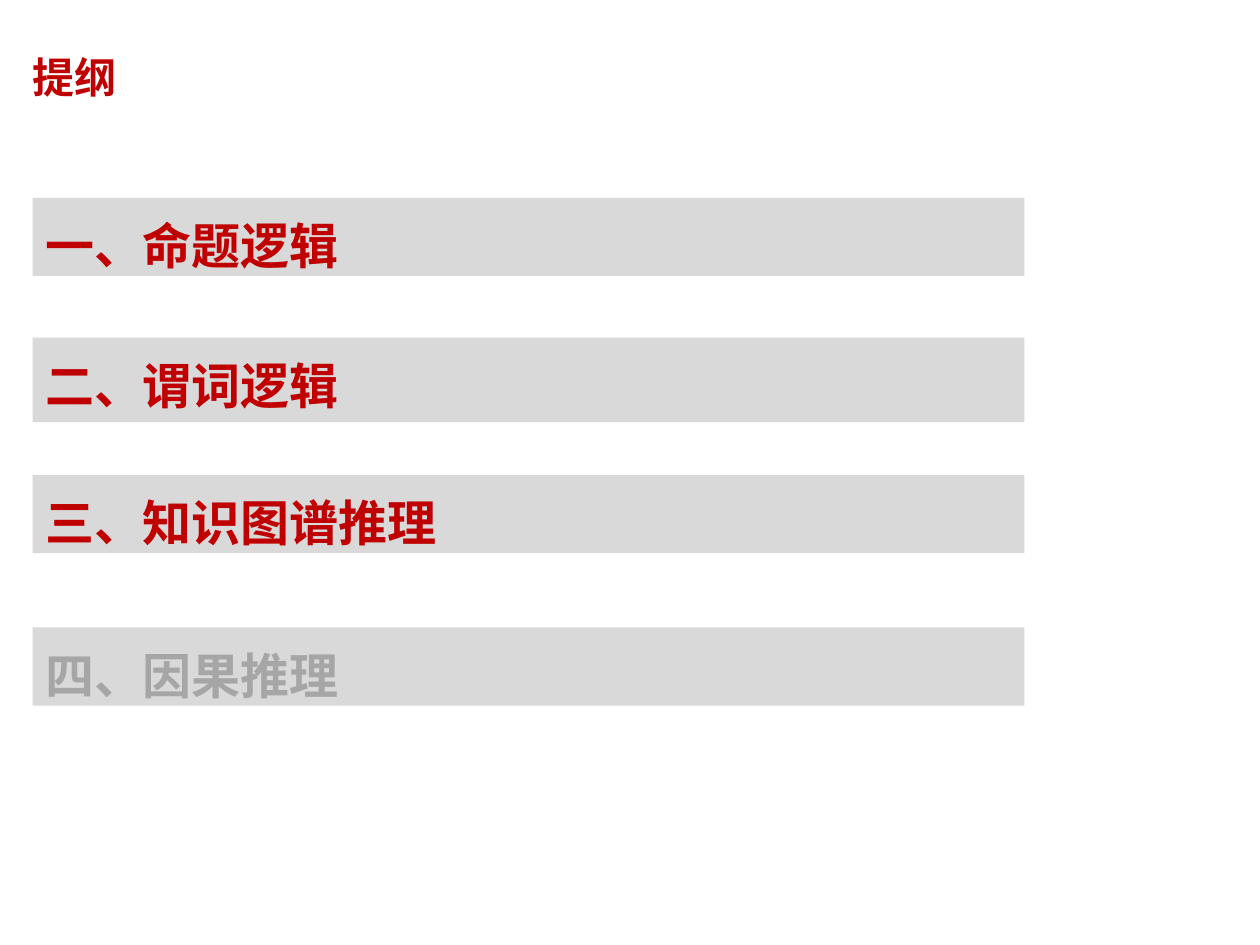
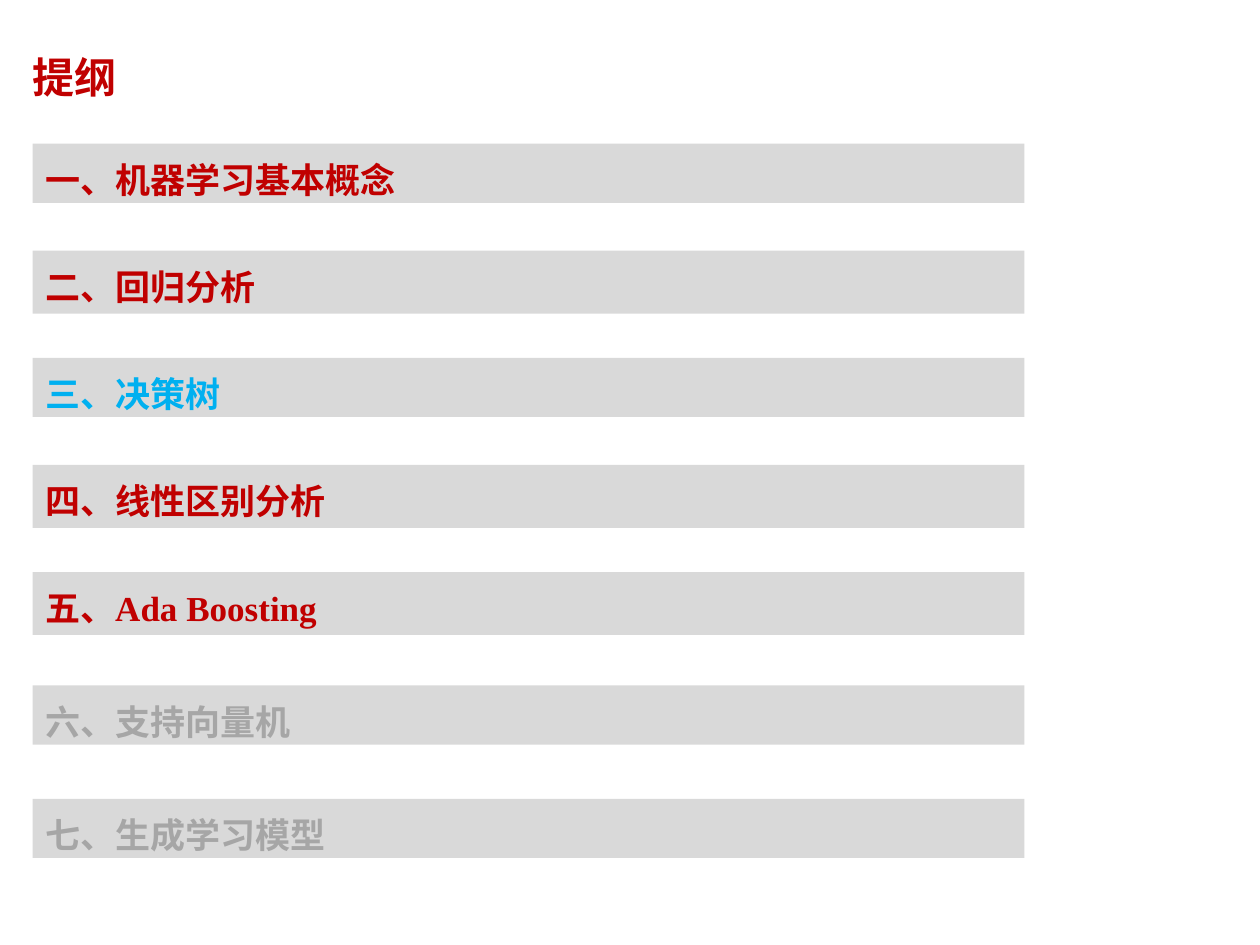
from dataclasses import dataclass

from pptx import Presentation
from pptx import util as u
from pptx.dml import color
from pptx.enum import shapes, text

PX = 9144
FONT = "Times New Roman"
RED, BLUE, GREY, BAND = "C00000", "00B0F0", "A6A6A6", "D9D9D9"
BAND_LEFT, BAND_WIDTH = 26, 787


@dataclass(frozen=True)
class Topic:
    label: str
    top: int
    height: int
    colour: str = RED


@dataclass(frozen=True)
class Outline:
    size: int
    topics: tuple[Topic, ...]


OUTLINES = (
    Outline(28, (
        Topic("一、命题逻辑", 157, 62),
        Topic("二、谓词逻辑", 268, 67),
        Topic("三、知识图谱推理", 377, 62),
        Topic("四、因果推理", 498, 62, GREY),
    )),
    Outline(20, (
        Topic("一、机器学习基本概念", 114, 47),
        Topic("二、回归分析", 199, 50),
        Topic("三、决策树", 284, 47, BLUE),
        Topic("四、线性区别分析", 369, 50),
        Topic("五、Ada Boosting", 454, 50),
        Topic("六、支持向量机", 544, 47, GREY),
        Topic("七、生成学习模型", 634, 47, GREY),
    )),
)


def px(length: int) -> u.Emu:
    return u.Emu(length * PX)


def rgb(value: str) -> color.RGBColor:
    return color.RGBColor.from_string(value)


def write(frame, words: str, size: int, colour: str):
    frame.word_wrap = True
    para = frame.paragraphs[0]
    para.text = words
    para.alignment = text.PP_ALIGN.LEFT
    para.font.name = FONT
    para.font.size = u.Pt(size)
    para.font.bold = True
    para.font.color.rgb = rgb(colour)
    return para


def add_title(page, words: str) -> None:
    title = page.shapes.title
    title.left, title.top, title.width, title.height = map(px, (2, 11, 742, 99))
    frame = title.text_frame
    frame.auto_size = text.MSO_AUTO_SIZE.NONE
    frame.vertical_anchor = text.MSO_ANCHOR.MIDDLE
    frame.margin_left = px(24)
    write(frame, words, 24, RED)


def add_topic(page, topic: Topic, size: int) -> None:
    band = page.shapes.add_shape(
        shapes.MSO_SHAPE.RECTANGLE,
        px(BAND_LEFT), px(topic.top), px(BAND_WIDTH), px(topic.height),
    )
    band.shadow.inherit = False
    band.fill.solid()
    band.fill.fore_color.rgb = rgb(BAND)
    band.line.fill.background()
    frame = band.text_frame
    frame.auto_size = text.MSO_AUTO_SIZE.SHAPE_TO_FIT_TEXT
    frame.vertical_anchor = text.MSO_ANCHOR.TOP
    write(frame, topic.label, size, topic.colour).line_spacing = 1.2


def main() -> None:
    deck = Presentation()
    deck.slide_width, deck.slide_height = px(1000), px(750)
    for outline in OUTLINES:
        page = deck.slides.add_slide(deck.slide_layouts[5])
        add_title(page, "提纲")
        for topic in outline.topics:
            add_topic(page, topic, outline.size)
    deck.save("out.pptx")


if __name__ == "__main__":
    main()
